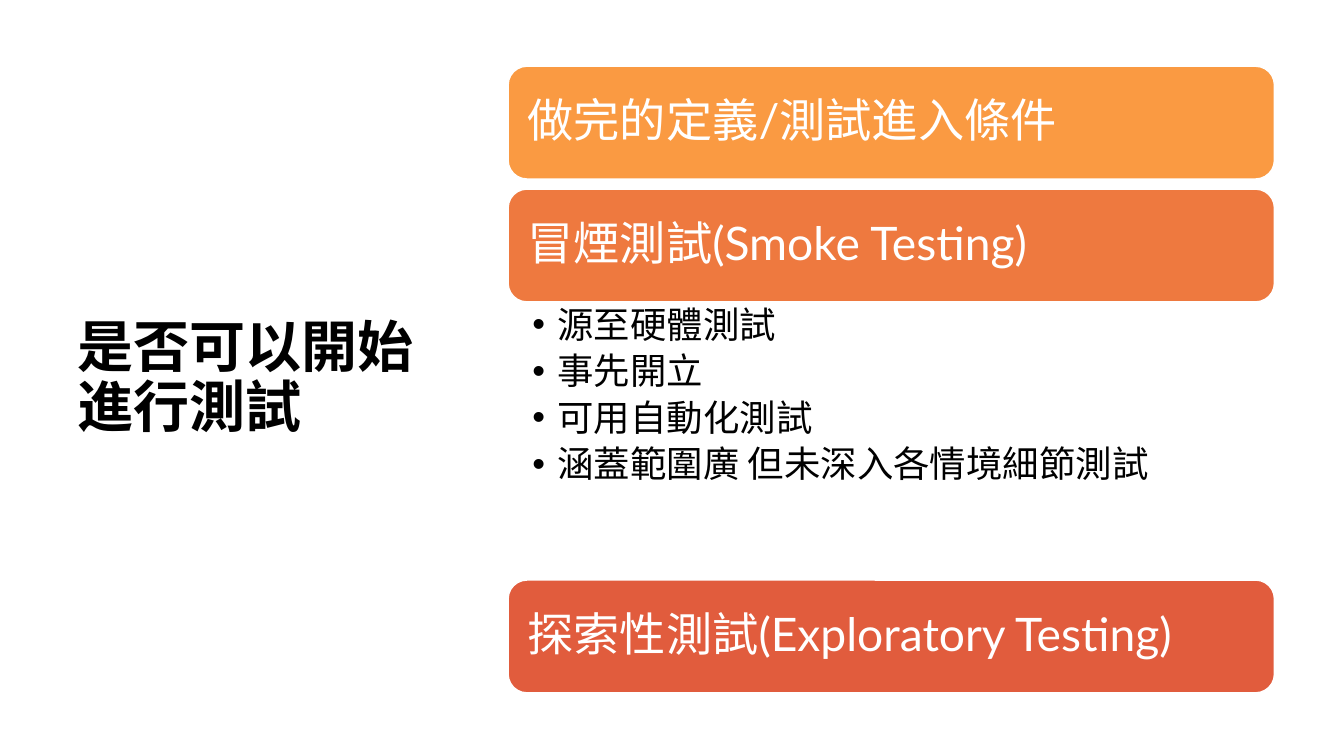
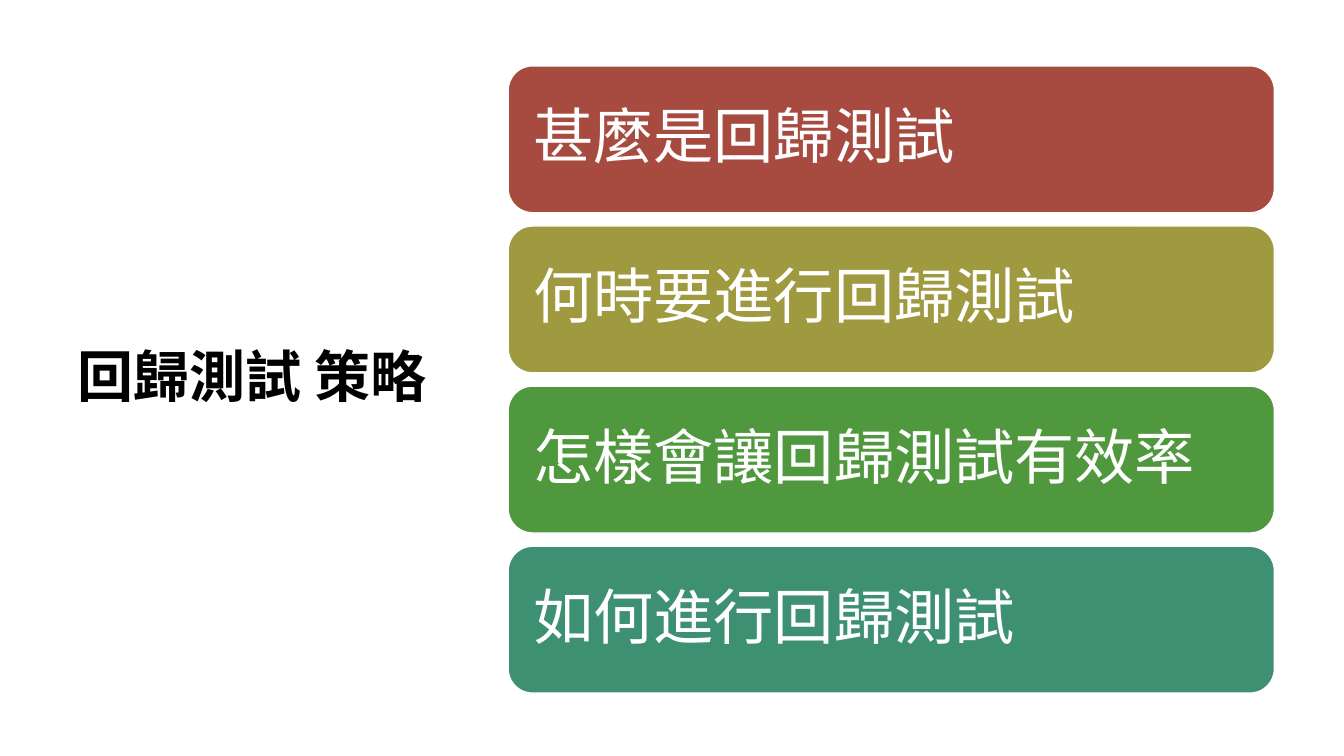
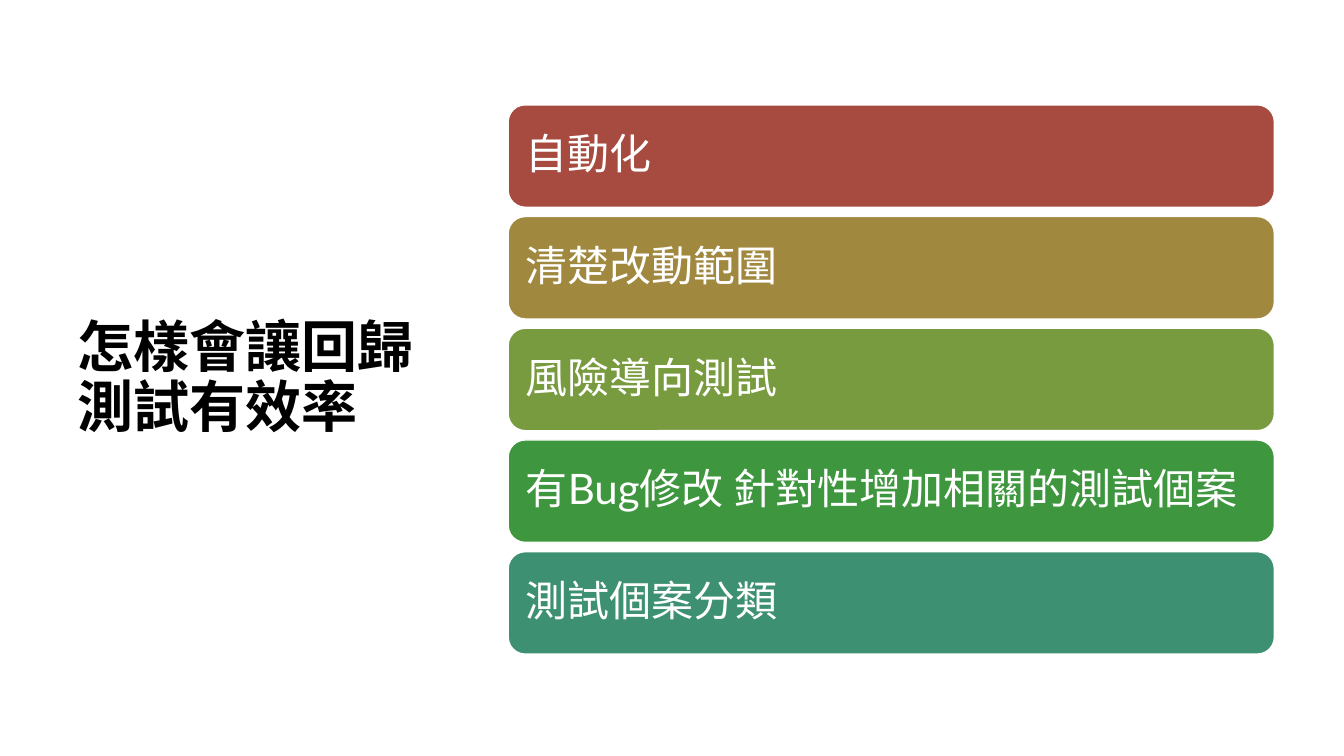
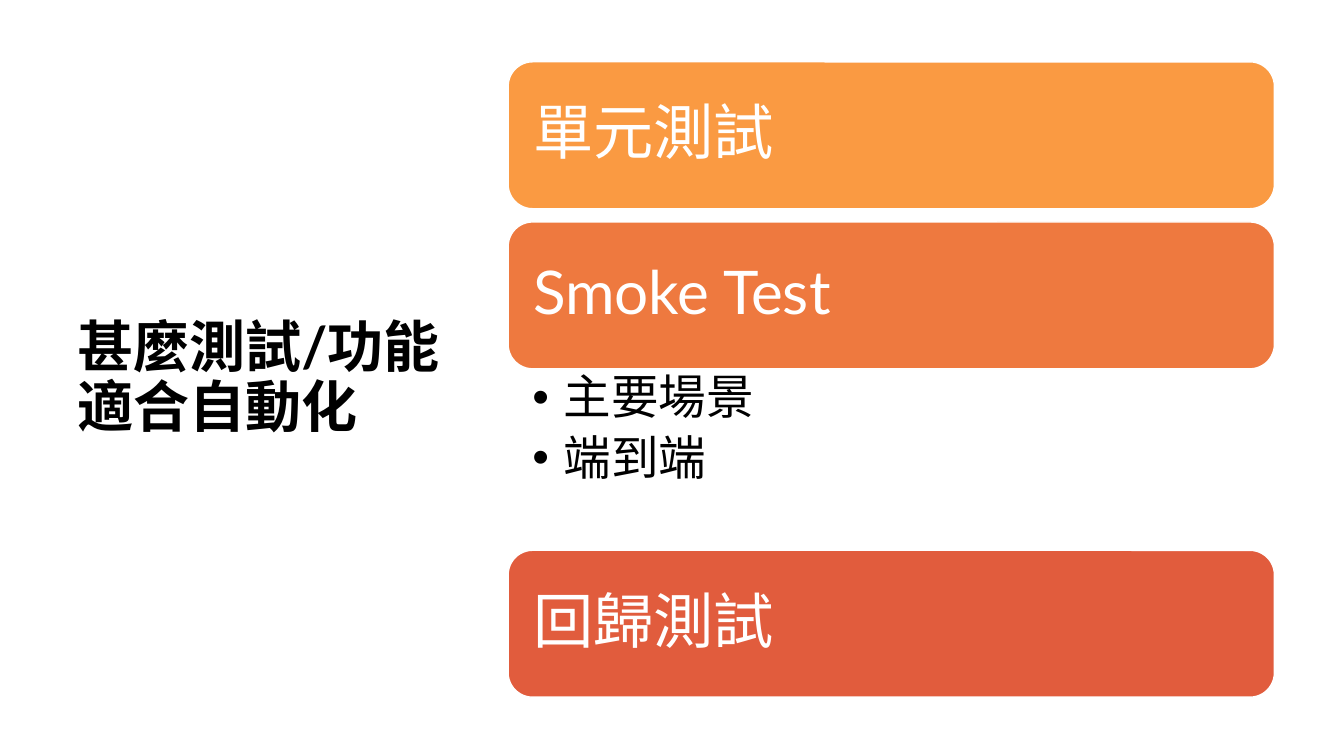
from dataclasses import dataclass

from lxml.etree import SubElement
from pptx import Presentation
from pptx.dml.color import RGBColor
from pptx.enum.shapes import MSO_SHAPE as Shape
from pptx.enum.text import MSO_ANCHOR as Anchor, MSO_AUTO_SIZE as AutoSize, PP_ALIGN as Align
from pptx.oxml.ns import qn
from pptx.util import Inches, Pt


@dataclass(frozen=True)
class Theme:
    font: str = "Lato"
    title_size: int = 40
    line_spacing: float = 0.9
    black: str = "000000"
    white: str = "FFFFFF"
    amber: str = "FA9A42"
    orange: str = "EE793F"
    vermilion: str = "E15C3D"
    brick: str = "A74B40"
    ochre: str = "A1883F"
    olive: str = "9F9A3F"
    moss: str = "799B3F"
    leaf: str = "50983E"
    green: str = "3E963E"
    teal: str = "3D9072"


@dataclass(frozen=True)
class BulletList:
    items: tuple
    size: int
    height: float
    indent: float


@dataclass(frozen=True)
class Bar:
    text: str
    color: str
    bullets: BulletList | None = None


THEME = Theme()
TITLE_LEFT, TITLE_TOP, TITLE_WIDTH, TITLE_HEIGHT = 0.67, 0.6, 3.82, 6.33
BAR_LEFT, BAR_WIDTH = 5.04, 7.6
# Proportions of the bar text size
BAR_HEIGHT, BAR_GAP, BAR_INSET = 2.44, 0.22, 0.3


def rgb(color):
    return RGBColor.from_string(color)


def format_paragraph(paragraph, size, color, bold=False):
    paragraph.alignment = Align.LEFT
    paragraph.line_spacing = THEME.line_spacing
    font = paragraph.font
    font.name, font.size, font.bold = THEME.font, Pt(size), bold
    font.color.rgb = rgb(color)


def set_frame(frame, anchor, left, top, right, bottom):
    frame.word_wrap = True
    frame.auto_size = AutoSize.NONE
    frame.vertical_anchor = anchor
    frame.margin_left, frame.margin_top = Inches(left), Inches(top)
    frame.margin_right, frame.margin_bottom = Inches(right), Inches(bottom)


def set_title(slide, text):
    title = slide.shapes.title
    title.left, title.top = Inches(TITLE_LEFT), Inches(TITLE_TOP)
    title.width, title.height = Inches(TITLE_WIDTH), Inches(TITLE_HEIGHT)
    title.text_frame.text = text
    set_frame(title.text_frame, Anchor.MIDDLE, 0.1, 0.05, 0.1, 0.05)
    format_paragraph(title.text_frame.paragraphs[0], THEME.title_size, THEME.black, bold=True)


def add_bar(slide, bar, top, height, size):
    shape = slide.shapes.add_shape(
        Shape.ROUNDED_RECTANGLE, Inches(BAR_LEFT), Inches(top), Inches(BAR_WIDTH), Inches(height))
    shape.shadow.inherit = False
    shape.fill.solid()
    shape.fill.fore_color.rgb = rgb(bar.color)
    shape.line.color.rgb = rgb(THEME.white)
    shape.line.width = Pt(1)
    inset = BAR_INSET * size / 72
    set_frame(shape.text_frame, Anchor.MIDDLE, inset, inset, inset, inset)
    shape.text_frame.text = bar.text
    format_paragraph(shape.text_frame.paragraphs[0], size, THEME.white)


def add_bullets(slide, bullets, top):
    box = slide.shapes.add_textbox(
        Inches(BAR_LEFT), Inches(top), Inches(BAR_WIDTH), Inches(bullets.height))
    frame = box.text_frame
    set_frame(frame, Anchor.TOP, 0.24, 0.05, bullets.size / 100, 0.05)
    frame.text = "\n".join(bullets.items)
    for paragraph in frame.paragraphs:
        paragraph.level = 1
        paragraph.space_after = Pt(0.2 * bullets.size)
        properties = paragraph._p.get_or_add_pPr()
        properties.set("marL", str(Inches(bullets.indent)))
        properties.set("indent", str(-Inches(bullets.indent)))
        SubElement(properties, qn("a:buFont"), typeface="Arial")
        SubElement(properties, qn("a:buChar"), char="•")
        format_paragraph(paragraph, bullets.size, THEME.black)


def add_bar_slide(presentation, title, size, bars):
    """Stack the bars, centred on the title; a bullet list takes the place of a gap."""
    slide = presentation.slides.add_slide(presentation.slide_layouts[5])
    set_title(slide, title)
    height = BAR_HEIGHT * size / 72
    gaps = [bar.bullets.height if bar.bullets else BAR_GAP * size / 72 for bar in bars]
    total = height * len(bars) + sum(gaps[:-1])
    top = TITLE_TOP + (TITLE_HEIGHT - total) / 2
    for bar, gap in zip(bars, gaps):
        add_bar(slide, bar, top, height, size)
        if bar.bullets:
            add_bullets(slide, bar.bullets, top + height)
        top += height + gap


def main():
    presentation = Presentation()
    presentation.slide_width, presentation.slide_height = Inches(13.33), Inches(7.5)

    smoke_features = BulletList(
        ("源至硬體測試", "事先開立", "可用自動化測試", "涵蓋範圍廣 但未深入各情境細節測試"),
        size=26, height=2.76, indent=0.25)
    add_bar_slide(presentation, "是否可以開始進行測試", 33, [
        Bar("做完的定義/測試進入條件", THEME.amber),
        Bar("冒煙測試(Smoke Testing)", THEME.orange, smoke_features),
        Bar("探索性測試(Exploratory Testing)", THEME.vermilion),
    ])
    add_bar_slide(presentation, "回歸測試 策略", 43, [
        Bar("甚麼是回歸測試", THEME.brick),
        Bar("何時要進行回歸測試", THEME.olive),
        Bar("怎樣會讓回歸測試有效率", THEME.leaf),
        Bar("如何進行回歸測試", THEME.teal),
    ])
    add_bar_slide(presentation, "怎樣會讓回歸測試有效率", 30, [
        Bar("自動化", THEME.brick),
        Bar("清楚改動範圍", THEME.ochre),
        Bar("風險導向測試", THEME.moss),
        Bar("有Bug修改 針對性增加相關的測試個案", THEME.green),
        Bar("測試個案分類", THEME.teal),
    ])
    smoke_scope = BulletList(("主要場景", "端到端"), size=34, height=1.8, indent=0.31)
    add_bar_slide(presentation, "甚麼測試/功能適合自動化", 43, [
        Bar("單元測試", THEME.amber),
        Bar("Smoke Test", THEME.orange, smoke_scope),
        Bar("回歸測試", THEME.vermilion),
    ])
    presentation.save("out.pptx")


if __name__ == "__main__":
    main()
